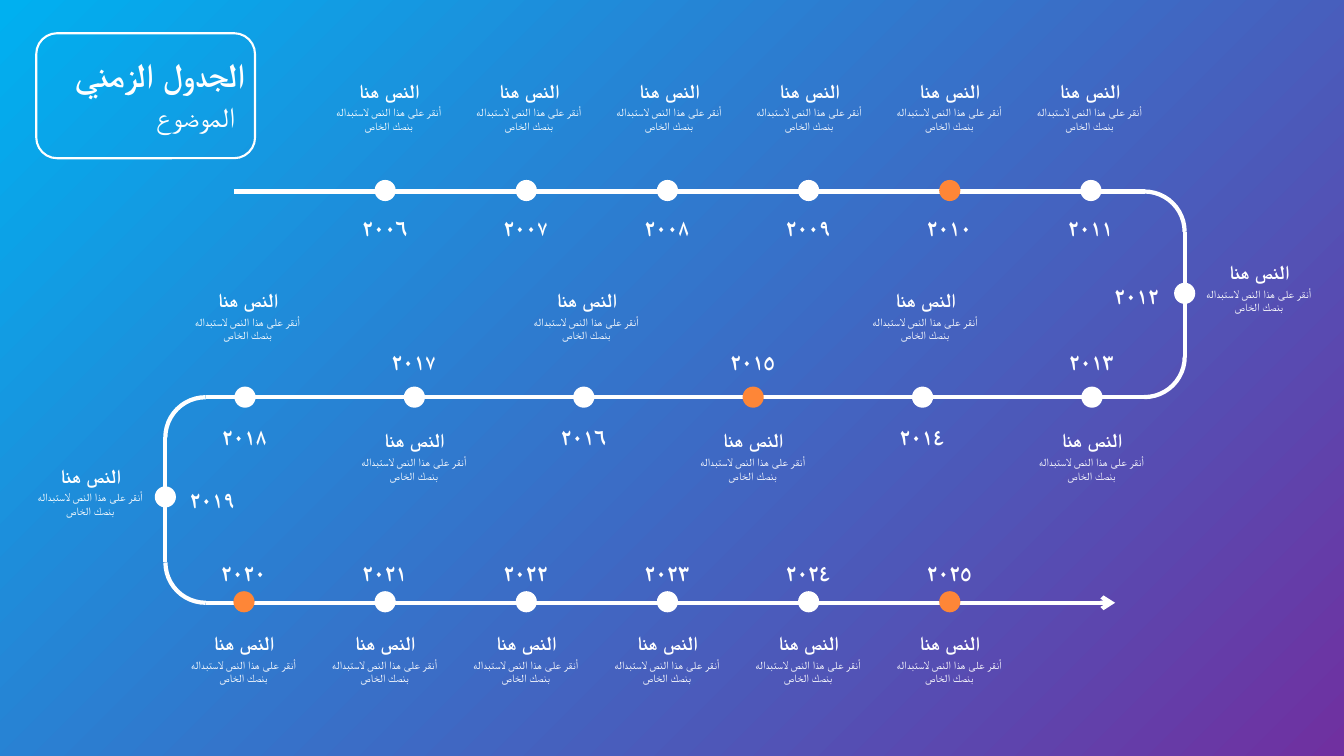
from lxml import etree
from pptx import Presentation
from pptx.dml.color import RGBColor
from pptx.enum.shapes import MSO_CONNECTOR, MSO_SHAPE
from pptx.enum.text import MSO_AUTO_SIZE, PP_ALIGN
from pptx.oxml.ns import qn
from pptx.util import Inches, Pt

WHITE = RGBColor(0xFF, 0xFF, 0xFF)
ORANGE = RGBColor(0xFE, 0x86, 0x37)
BLUE = RGBColor(0x00, 0xB0, 0xF0)
PURPLE = RGBColor(0x70, 0x30, 0xA0)

LINE = MSO_CONNECTOR.STRAIGHT
ARC = MSO_SHAPE.ARC
DISC = MSO_SHAPE.FLOWCHART_CONNECTOR
ROUND = MSO_SHAPE.ROUNDED_RECTANGLE
FIT = MSO_AUTO_SIZE.SHAPE_TO_FIT_TEXT
CENTER, RIGHT = PP_ALIGN.CENTER, PP_ALIGN.RIGHT

HEAD = "النص هنا"
BODY = "أنقر على هذا النص لاستبداله بنصك الخاص"

# Heights of the three rails, x of the two turns
TOP, MID, LOW = 1.9, 3.94, 5.98
EAST, WEST = 11.75, 1.64
BEND = 0.8
DOT = 0.21
# First dot and step of the long rows and of the middle row
STEP, WIDE = 1.4, 1.68
HOT = ("٢٠١٠", "٢٠١٥", "٢٠٢٠", "٢٠٢٥")


def place(x, y, w, h):
    return [Inches(v) for v in (x, y, w, h)]


def write(slide, box, text, size, bold=False, face="Lato", align=CENTER):
    frame = slide.shapes.add_textbox(*place(*box)).text_frame
    frame.word_wrap = True
    frame.auto_size = FIT
    para = frame.paragraphs[0]
    para.text = text
    para.alignment = align
    para._p.get_or_add_pPr().set("rtl", "1")
    font = para.font
    font.name, font.size, font.bold = face, Pt(size), bold
    font.color.rgb = WHITE


def outline(slide, kind, box, width, turn=0):
    shape = slide.shapes.add_shape(kind, *place(*box))
    shape.shadow.inherit = False
    shape.fill.background()
    shape.line.color.rgb = WHITE
    shape.line.width = Pt(width)
    shape.rotation = turn


def rail(slide, x1, y1, x2, y2, arrow=False):
    line = slide.shapes.add_connector(LINE, *place(x1, y1, x2, y2))
    line.line.color.rgb = WHITE
    line.line.width = Pt(3)
    if arrow:
        etree.SubElement(line.line._get_or_add_ln(), qn("a:tailEnd"), type="arrow")
    etree.SubElement(line._element.spPr, qn("a:effectLst"))


def bend(slide, x, top, low, turns):
    """Vertical rail at x, rounded into the rails above and below it."""
    left = x - BEND if x == EAST else x
    for y, turn in zip((top, low - BEND), turns):
        outline(slide, ARC, (left, y, BEND, BEND), 3, turn)
    rail(slide, x, low - BEND / 2, x, top + BEND / 2)


def dot(slide, x, y, year):
    shape = slide.shapes.add_shape(DISC, *place(x - DOT / 2, y - DOT / 2, DOT, DOT))
    shape.shadow.inherit = False
    shape.fill.solid()
    shape.fill.fore_color.rgb = ORANGE if year in HOT else WHITE
    shape.line.fill.background()


def label(slide, x, y, year):
    write(slide, (x - 0.37, y, 0.73, 0.37), year, 16, True)


def note(slide, x, y):
    write(slide, (x - 0.64, y, 1.28, 0.63), HEAD, 14, True)
    write(slide, (x - 0.64, y + 0.27, 1.27, 0.67), BODY, 8, face="Times New Roman")


def row(slide, x, y, years, up, down, first, step):
    """Row of dots; up and down are the tops of the year and the note."""
    for i, year in enumerate(years.split()):
        dot(slide, x + i * STEP, y, year)
        label(slide, x + i * STEP, up, year)
        note(slide, first + i * step, down)


def weave(slide, x, y, years):
    """Middle row, where year and note swap sides at each dot."""
    for i, year in enumerate(years.split()):
        at = x + i * WIDE
        dot(slide, at, y, year)
        if i % 2:
            label(slide, at, y - 0.54, year)
            note(slide, at, y + 0.26)
        else:
            label(slide, at, y + 0.21, year)
            note(slide, at + 0.03, y - 1.13)


def side(slide, x, y, year, out):
    """Dot on a turn; out is 1 for a note to the right, -1 to the left."""
    dot(slide, x, y, year)
    label(slide, x - 0.47 * out, y - 0.16, year)
    note(slide, x + 0.74 * out, y - 0.38)


def title(slide, x, y, w, h):
    outline(slide, ROUND, (x, y, w, h), 1.5)
    write(slide, (x, y + 0.16, w, 0.5), "الجدول الزمني", 24, True, align=RIGHT)
    write(slide, (x + 0.13, y + 0.61, w - 0.23, 0.43), "الموضوع", 20, align=RIGHT)


def main():
    deck = Presentation()
    deck.slide_width, deck.slide_height = Inches(13.33), Inches(7.5)
    slide = deck.slides.add_slide(deck.slide_layouts[6])

    # Background
    fill = slide.background.fill
    fill.gradient()
    fill.gradient_angle = 315
    for stop, color, at in zip(fill.gradient_stops, (BLUE, PURPLE), (0, 1)):
        stop.color.rgb = color
        stop.position = at

    # Winding rail
    rail(slide, 2.32, TOP, 11.36, TOP)
    rail(slide, 11.36, MID, 2.04, MID)
    rail(slide, 10.88, LOW, 2.04, LOW)
    rail(slide, 10.82, LOW, 11.06, LOW, arrow=True)
    bend(slide, EAST, TOP, MID, (0, 90))
    bend(slide, WEST, MID, LOW, (270, 180))

    # Years and notes
    row(slide, 3.82, TOP - 0.01, "٢٠٠٦ ٢٠٠٧ ٢٠٠٨ ٢٠٠٩ ٢٠١٠ ٢٠١١", 2.08, 0.73, 3.86, 1.39)
    side(slide, EAST, 2.91, "٢٠١٢", 1)
    weave(slide, 2.43, MID, "٢٠١٨ ٢٠١٧ ٢٠١٦ ٢٠١٥ ٢٠١٤ ٢٠١٣")
    side(slide, WEST, 4.93, "٢٠١٩", -1)
    row(slide, 2.42, LOW - 0.01, "٢٠٢٠ ٢٠٢١ ٢٠٢٢ ٢٠٢٣ ٢٠٢٤ ٢٠٢٥", 5.5, 6.21, 2.42, 1.4)

    # Title
    title(slide, 0.36, 0.33, 2.17, 1.24)
    deck.save("out.pptx")


if __name__ == "__main__":
    main()
